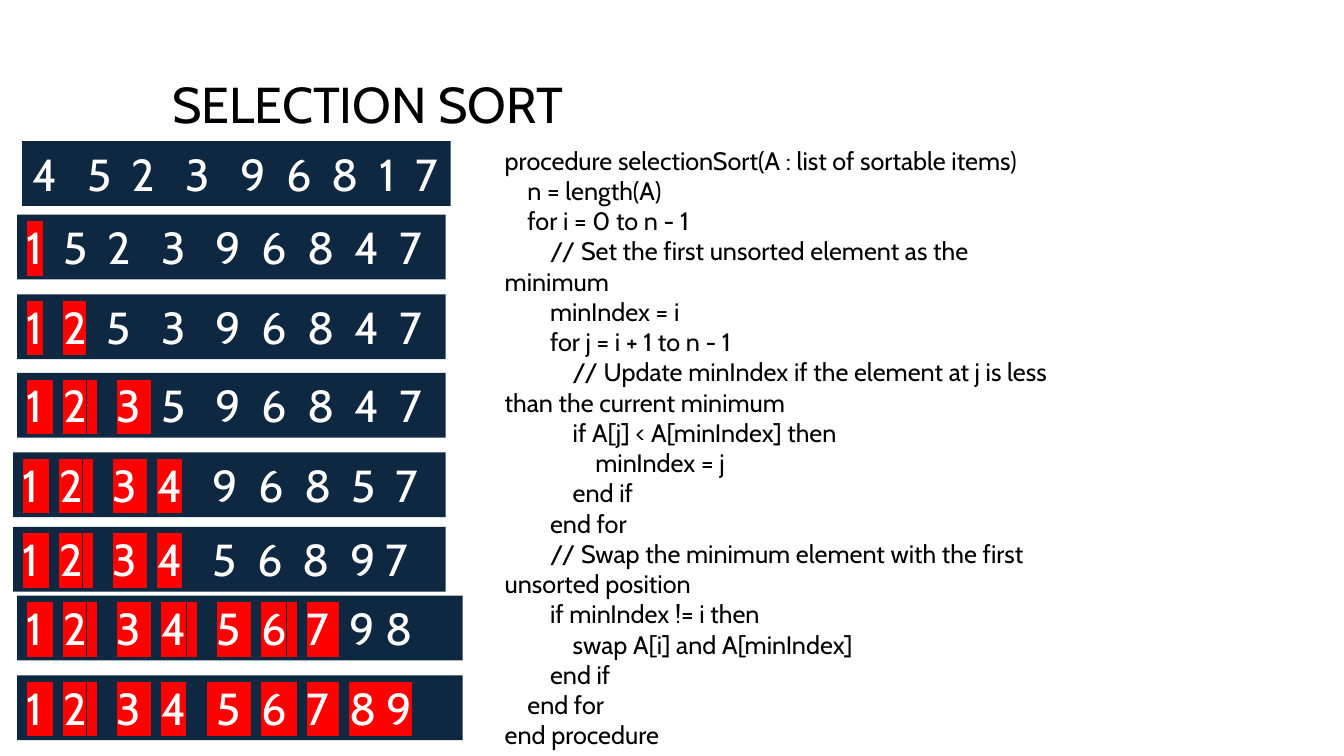
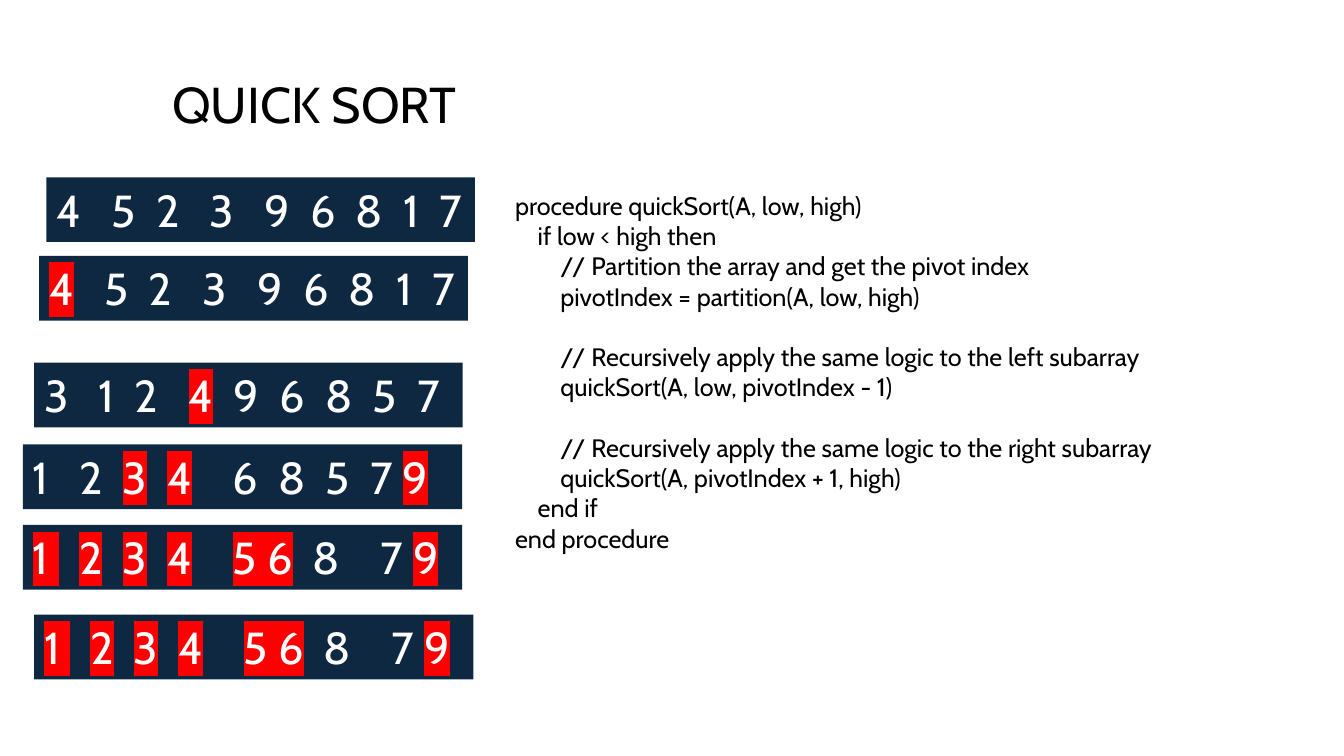
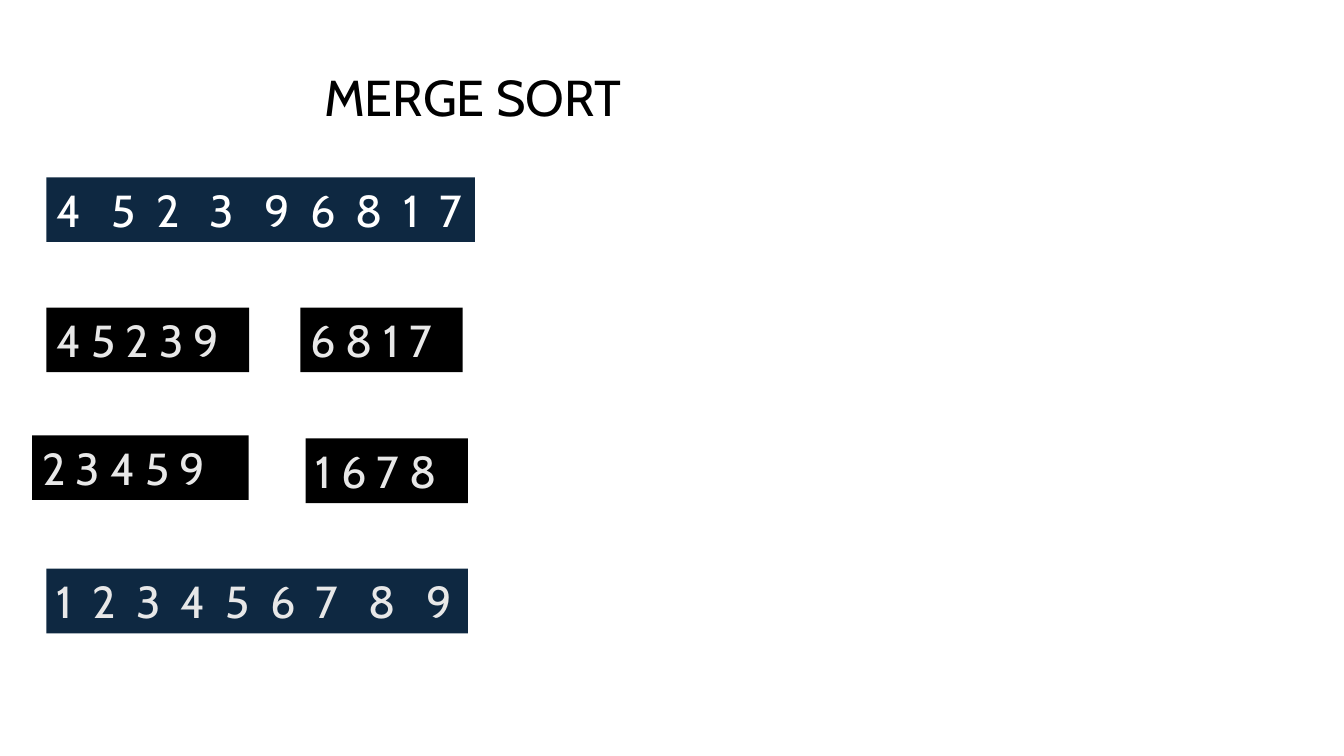
from itertools import groupby

from lxml import etree
from pptx import Presentation
from pptx.dml.color import RGBColor
from pptx.enum import shapes, text
from pptx.oxml.ns import qn
from pptx.util import Cm, Pt

# Shared style
FONT = "Cabin"
NAVY = RGBColor(0x0E, 0x28, 0x41)
BLACK = RGBColor(0, 0, 0)
WHITE = RGBColor(0xFF, 0xFF, 0xFF)
PALE = RGBColor(0xE8, 0xE8, 0xE8)
RED = RGBColor(0xFF, 0, 0)
TITLE_SIZE, VALUE_SIZE, CODE_SIZE = 36, 32, 18
CODE_LINE = 21.6  # height of one code line, in points
GAP_UNIT = 7.2  # width of one gap between values, in points
BAR_HEIGHT = 1.63
BAR_WIDTH = 10.8

# Array rows: left, top, width, values.
# Each "-" is one unit of gap; brackets enclose the marked part.
START = "4---5--2---3---9--6--8--1--7"

SELECTION_ROWS = [
    (0.56, 3.56, BAR_WIDTH, START),
    (0.43, 5.41, BAR_WIDTH, "[1]--5--2---3---9--6--8--4--7"),
    (0.43, 7.42, BAR_WIDTH, "[1]--[2]--5---3---9--6--8--4--7"),
    (0.43, 9.4, BAR_WIDTH, "[1--2---3--]5---9--6--8--4--7"),
    (0.33, 11.4, 10.9, "[1--2---3--4]---9--6--8--5--7"),
    (0.33, 13.28, 10.9, "[1--2---3--4]---5--6--8--9-7"),
    (0.43, 15.01, 11.23, "[1--2---3--4---5--6--7--]9-8"),
    (0.43, 17.02, 11.23, "[1--2---3--4]--[-5--6--7--8-9]"),
]

QUICK_PARTED = "[1---2]--[3]--[4]----[5-6]--8----7-[9]"
QUICK_ROWS = [
    (1.17, 4.47, BAR_WIDTH, START),
    (0.99, 6.45, BAR_WIDTH, "[4]---5--2---3---9--6--8--1--7"),
    (0.86, 9.14, BAR_WIDTH, "3---1--2---[4]--9--6--8--5--7"),
    (0.58, 11.2, 11.07, "1---2--[3]--[4]----6--8--5--7-[9]"),
    (0.58, 13.23, 11.07, QUICK_PARTED),
    (0.86, 15.49, 11.07, QUICK_PARTED),
]

MERGE_HALVES = [
    (1.17, 7.75, 5.11, "4-5-2-3-9"),
    (7.57, 7.75, 4.09, "6-8-1-7"),
    (0.81, 10.97, 5.46, "2-3-4-5-9"),
    (7.7, 11.05, 4.09, "1-6-7-8"),
]

SELECTION_CODE = """procedure selectionSort(A : list of sortable items)
    n = length(A)
    for i = 0 to n - 1
        // Set the first unsorted element as the minimum
        minIndex = i
        for j = i + 1 to n - 1
            // Update minIndex if the element at j is less than the current minimum
            if A[j] < A[minIndex] then
                minIndex = j
            end if
        end for
        // Swap the minimum element with the first unsorted position
        if minIndex != i then
            swap A[i] and A[minIndex]
        end if
    end for
end procedure"""

QUICK_CODE = """procedure quickSort(A, low, high)
    if low < high then
        // Partition the array and get the pivot index
        pivotIndex = partition(A, low, high)

        // Recursively apply the same logic to the left subarray
        quickSort(A, low, pivotIndex - 1)

        // Recursively apply the same logic to the right subarray
        quickSort(A, pivotIndex + 1, high)
    end if
end procedure"""


def add_run(paragraph, content, size, color):
    run = paragraph.add_run()
    run.text = content
    run.font.size = Pt(size)
    run.font.color.rgb = color
    run.font.name = FONT
    return run


def highlight(run, color):
    """Put a colour behind the run, next to its fill as the schema asks."""
    mark = etree.Element(qn("a:highlight"))
    etree.SubElement(mark, qn("a:srgbClr")).set("val", str(color))
    run.font.fill  # the fill element precedes the highlight
    run.font._element.find(qn("a:solidFill")).addnext(mark)


def add_text_box(slide, left, top, width, height):
    box = slide.shapes.add_textbox(Cm(left), Cm(top), Cm(width), Cm(height))
    frame = box.text_frame
    frame.word_wrap = True
    frame.auto_size = text.MSO_AUTO_SIZE.SHAPE_TO_FIT_TEXT
    return frame


def add_title(slide, title, left=4.09, top=1.73):
    frame = add_text_box(slide, left, top, 20.37, 1.8)
    add_run(frame.paragraphs[0], title, TITLE_SIZE, BLACK)


def add_code(slide, code, left, top, width, height):
    """One paragraph per line; an empty line becomes space before the next."""
    frame = add_text_box(slide, left, top, width, height)
    paragraph = frame.paragraphs[0]
    after_empty = False
    for number, line in enumerate(code.split("\n")):
        if not line:
            after_empty = True
            continue
        if number:
            paragraph = frame.add_paragraph()
        if after_empty:
            paragraph.space_before = Pt(CODE_LINE)
            after_empty = False
        add_run(paragraph, line, CODE_SIZE, BLACK)


def split_values(values):
    """Yield (content, gap units, marked) for each value and gap."""
    symbols, marked = [], False
    for symbol in values:
        if symbol in "[]":
            marked = symbol == "["
        else:
            symbols.append((symbol, marked))
    for (is_gap, marked), group in groupby(symbols, lambda s: (s[0] == "-", s[1])):
        content = "".join(symbol for symbol, _ in group)
        yield (" ", len(content), marked) if is_gap else (content, 0, marked)


def add_array(slide, left, top, width, values, fill=NAVY, color=WHITE):
    bar = slide.shapes.add_shape(shapes.MSO_SHAPE.RECTANGLE,
                                 Cm(left), Cm(top), Cm(width), Cm(BAR_HEIGHT))
    bar.shadow.inherit = False
    bar.fill.solid()
    bar.fill.fore_color.rgb = fill
    bar.line.fill.background()
    frame = bar.text_frame
    frame.word_wrap = True
    frame.auto_size = text.MSO_AUTO_SIZE.SHAPE_TO_FIT_TEXT
    frame.vertical_anchor = text.MSO_ANCHOR.TOP
    paragraph = frame.paragraphs[0]
    paragraph.alignment = text.PP_ALIGN.LEFT
    for content, units, marked in split_values(values):
        run = add_run(paragraph, content, VALUE_SIZE, color)
        if units > 1:  # widen the single space by letter spacing
            run.font._element.set("spc", str(round((units - 1) * GAP_UNIT * 100)))
        if marked:
            highlight(run, RED)


def main():
    presentation = Presentation()
    presentation.slide_width, presentation.slide_height = Cm(33.87), Cm(19.05)
    blank = presentation.slide_layouts[6]

    # Selection sort
    slide = presentation.slides.add_slide(blank)
    add_title(slide, "SELECTION SORT")
    for row in SELECTION_ROWS:
        add_array(slide, *row)
    add_code(slide, SELECTION_CODE, 12.47, 3.53, 14.68, 16.41)

    # Quick sort
    slide = presentation.slides.add_slide(blank)
    add_title(slide, "QUICK SORT")
    for row in QUICK_ROWS:
        add_array(slide, *row)
    add_code(slide, QUICK_CODE, 12.73, 4.67, 20.37, 11.02)

    # Merge sort
    slide = presentation.slides.add_slide(blank)
    add_title(slide, "MERGE SORT", 7.92, 1.55)
    add_array(slide, 1.17, 4.47, BAR_WIDTH, START)
    for half in MERGE_HALVES:
        add_array(slide, *half, fill=BLACK, color=PALE)
    add_array(slide, 1.17, 14.33, 10.62, "1--2--3--4--5--6--7---8---9", color=PALE)

    presentation.save("out.pptx")


if __name__ == "__main__":
    main()
